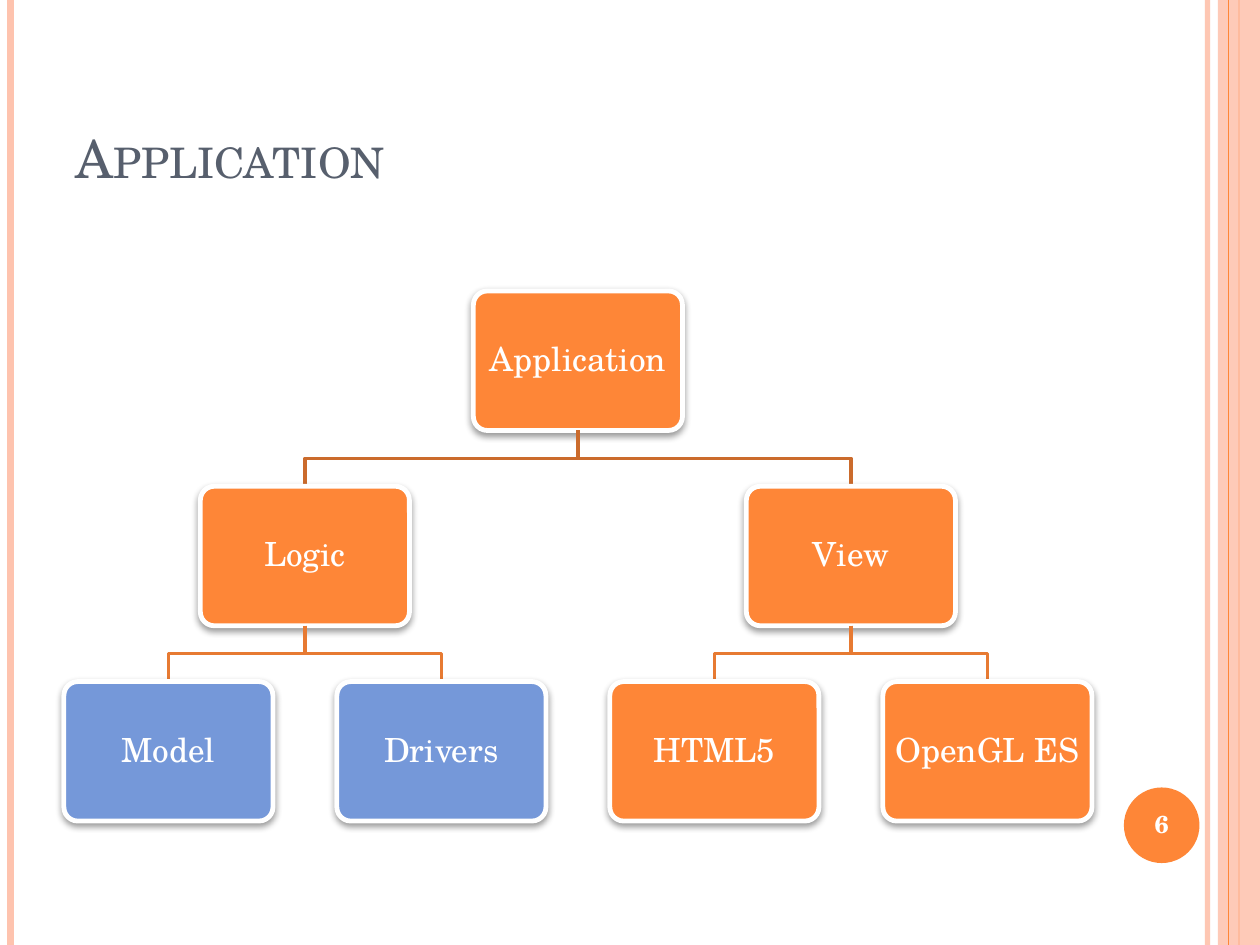
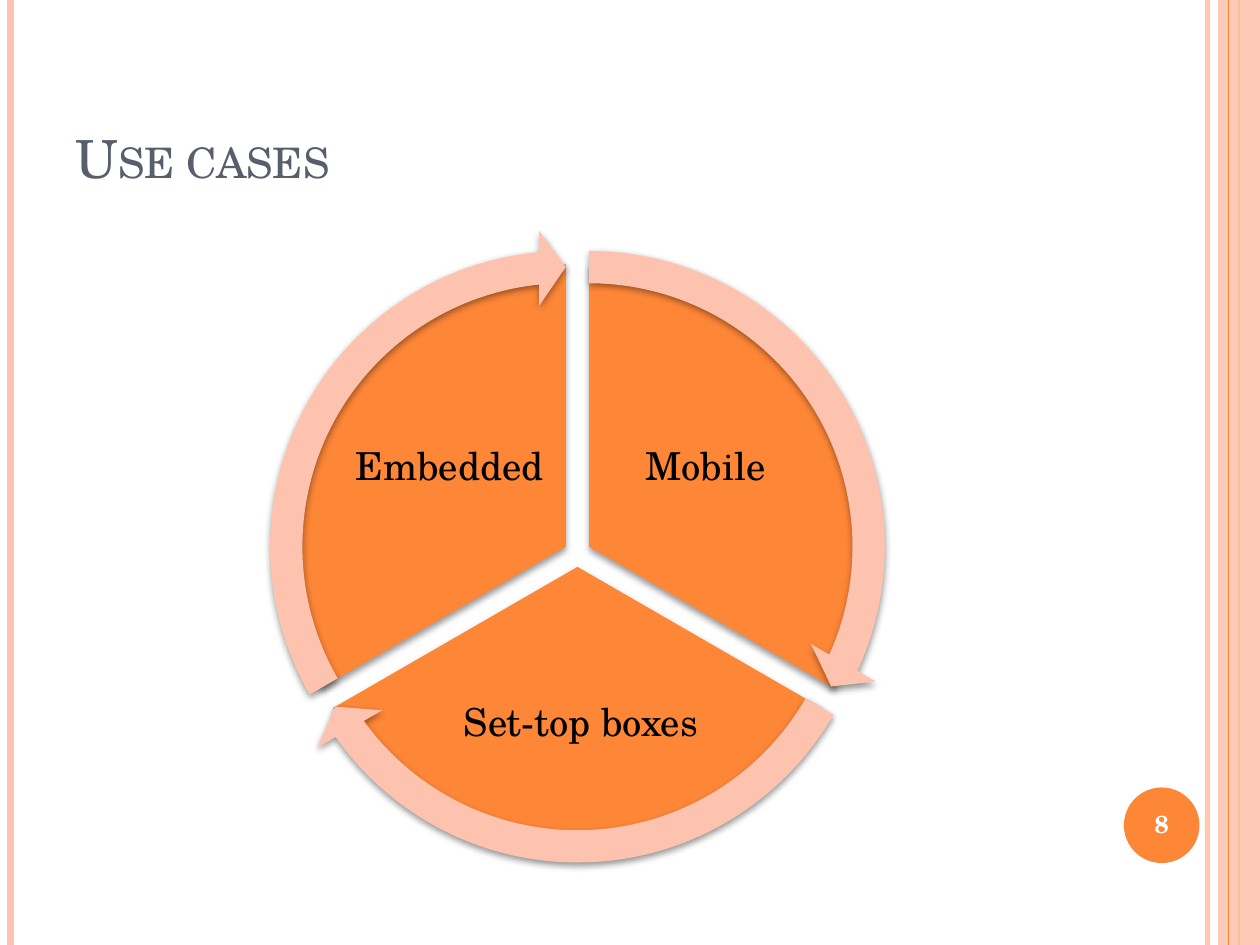
from math import cos, radians, sin

from lxml.etree import SubElement
from pptx import Presentation
from pptx.dml.color import RGBColor
from pptx.enum.shapes import MSO_CONNECTOR, MSO_SHAPE
from pptx.enum.text import MSO_ANCHOR, MSO_AUTO_SIZE, PP_ALIGN
from pptx.oxml.ns import qn
from pptx.util import Pt

ORANGE = RGBColor(0xFE, 0x86, 0x37)
PEACH = RGBColor(0xFE, 0xC3, 0xAE)
BLUE = RGBColor(0x75, 0x98, 0xD9)
RUST = RGBColor(0xCB, 0x6B, 0x2C)
AMBER = RGBColor(0xE7, 0x7A, 0x32)
SLATE = RGBColor(0x57, 0x5F, 0x6D)
WHITE = RGBColor(0xFF, 0xFF, 0xFF)
BLACK = RGBColor(0x00, 0x00, 0x00)

FONT = "TeX Gyre Schola"
WIDTH, HEIGHT = 720, 540


class Deck:
    def __init__(self):
        self.show = Presentation()
        self.show.slide_width = Pt(WIDTH)
        self.show.slide_height = Pt(HEIGHT)
        self.slide = None

    def start(self, title, number):
        self.slide = self.show.slides.add_slide(self.show.slide_layouts[5])
        self.rule(690, PEACH, 3, 93)
        self.rule(6, PEACH, 4.5)
        self.rule(708, ORANGE, 1.5)
        band = self.shape(MSO_SHAPE.RECTANGLE, 696, 0, 24, HEIGHT, PEACH)
        self.fade(band, 87)
        self.rule(702, ORANGE, 0.75)
        badge = self.shape(MSO_SHAPE.OVAL, 642.25, 450, 43.2, 43.2, ORANGE)
        self.letter(badge, str(number), 14, WHITE, bold=True)
        self.title(title)

    def title(self, text):
        head = self.slide.shapes.title
        head.left, head.top = Pt(36), Pt(21.6)
        head.width, head.height = Pt(588), Pt(90)
        frame = head.text_frame
        frame.text = text
        frame.auto_size = MSO_AUTO_SIZE.NONE
        frame.vertical_anchor = MSO_ANCHOR.BOTTOM
        para = frame.paragraphs[0]
        para.alignment = PP_ALIGN.LEFT
        run = para.runs[0]
        self.style(run, 30, SLATE)
        run.font._element.set("cap", "small")

    def style(self, run, size, color, bold=False):
        run.font.name = FONT
        run.font.size = Pt(size)
        run.font.color.rgb = color
        run.font.bold = bold

    def letter(self, shape, text, size, color, bold=False, wrap=False):
        frame = shape.text_frame
        frame.text = text
        frame.word_wrap = wrap
        frame.vertical_anchor = MSO_ANCHOR.MIDDLE
        frame.margin_left = frame.margin_right = Pt(2)
        frame.margin_top = frame.margin_bottom = Pt(2)
        para = frame.paragraphs[0]
        para.alignment = PP_ALIGN.CENTER
        para.line_spacing = 0.9
        self.style(para.runs[0], size, color, bold)

    def label(self, text, x, y, width, height):
        box = self.slide.shapes.add_textbox(
            Pt(x - width / 2), Pt(y - height / 2), Pt(width), Pt(height))
        self.letter(box, text, 22, BLACK, wrap=True)

    def shape(self, kind, x, y, width, height, color, turns=()):
        item = self.slide.shapes.add_shape(
            kind, Pt(x), Pt(y), Pt(width), Pt(height))
        item.shadow.inherit = False
        item.fill.solid()
        item.fill.fore_color.rgb = color
        item.line.fill.background()
        for index, value in enumerate(turns):
            item.adjustments[index] = value
        return item

    def shade(self, item, drop, alpha):
        effects = item._element.spPr.find(qn("a:effectLst"))
        outer = SubElement(
            effects, qn("a:outerShdw"), blurRad=str(Pt(4)),
            dist=str(Pt(drop)), dir="5400000", rotWithShape="0")
        tint = SubElement(outer, qn("a:srgbClr"), val=str(BLACK))
        SubElement(tint, qn("a:alpha"), val=str(alpha * 1000))

    def fade(self, item, alpha):
        tint = next(item._element.spPr.iter(qn("a:srgbClr")))
        SubElement(tint, qn("a:alpha"), val=str(alpha * 1000))

    def rule(self, x, color, weight, alpha=None):
        line = self.slide.shapes.add_connector(
            MSO_CONNECTOR.STRAIGHT, Pt(x), Pt(0), Pt(x), Pt(HEIGHT))
        line.line.color.rgb = color
        line.line.width = Pt(weight)
        SubElement(line._element.spPr, qn("a:effectLst"))
        if alpha:
            self.fade(line, alpha)

    def branch(self, x, y, end, foot, color):
        mid = (y + foot) / 2
        pen = self.slide.shapes.build_freeform(Pt(x), Pt(y))
        pen.add_line_segments(
            [(Pt(x), Pt(mid)), (Pt(end), Pt(mid)), (Pt(end), Pt(foot))],
            close=False)
        limb = pen.convert_to_shape()
        limb.shadow.inherit = False
        limb.fill.background()
        limb.line.color.rgb = color
        limb.line.width = Pt(2)

    def node(self, text, x, y, width, height, color):
        card = self.shape(MSO_SHAPE.ROUNDED_RECTANGLE, x - width / 2, y,
                          width, height, color, [0.1])
        card.line.color.rgb = WHITE
        card.line.width = Pt(2.75)
        self.shade(card, 2, 40)
        self.letter(card, text, 19, WHITE)


def draw_tree(deck):
    deck.start("Application", 6)
    width, height = 119.5, 79.75
    left, top = 96.25, 166.25
    step, drop = 156, 111.6
    nodes = [
        ("Application", 1.5, 0, None, ORANGE),
        ("Logic", 0.5, 1, 1.5, ORANGE),
        ("View", 2.5, 1, 1.5, ORANGE),
        ("Model", 0, 2, 0.5, BLUE),
        ("Drivers", 1, 2, 0.5, BLUE),
        ("HTML5", 2, 2, 2.5, ORANGE),
        ("OpenGL ES", 3, 2, 2.5, ORANGE),
    ]
    for text, col, row, root, color in nodes:
        x, y = left + col * step, top + row * drop
        if root is not None:
            deck.branch(left + root * step, y - drop + height, x, y,
                        RUST if row == 1 else AMBER)
        deck.node(text, x, y, width, height, color)


def draw_cycle(deck):
    deck.start("Use cases", 8)
    mid_x, mid_y, push = 330, 316.25, 7.7
    pie, ring = 322.5, 362.2
    cases = [
        ("Mobile", 403.2, 267.5, 115.2, 95.75),
        ("Set-top boxes", 332, 413.65, 172.8, 84.25),
        ("Embedded", 257, 267.5, 115.2, 95.75),
    ]
    arcs = []
    for index, case in enumerate(cases):
        start = (270 + 120 * index) % 360
        end = (start + 120) % 360
        lean = radians(start + 60)
        x, y = mid_x + push * cos(lean), mid_y + push * sin(lean)
        arcs.append((x, y, start, end))
        wedge = deck.shape(MSO_SHAPE.PIE, x - pie / 2, y - pie / 2,
                           pie, pie, ORANGE, [start * 0.6, end * 0.6])
        deck.shade(wedge, 2, 40)
        deck.label(*case)
    for x, y, start, end in arcs:
        turns = [0.051, 3.275, (end - 5.46) * 0.6, start * 0.6, 0.059]
        arrow = deck.shape(MSO_SHAPE.CIRCULAR_ARROW, x - ring / 2,
                           y - ring / 2, ring, ring, PEACH, turns)
        deck.shade(arrow, 1.6, 42)


def main():
    deck = Deck()
    draw_tree(deck)
    draw_cycle(deck)
    deck.show.save("out.pptx")


if __name__ == "__main__":
    main()
